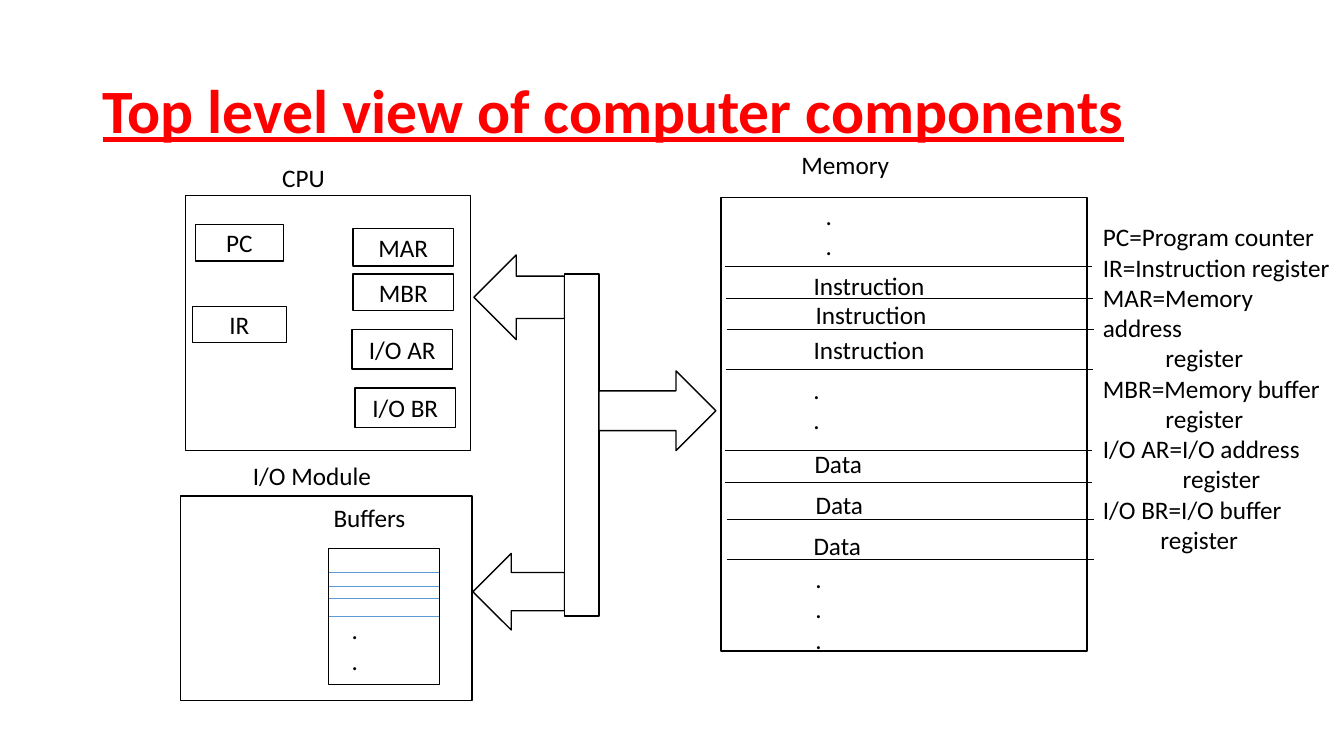
import pptx
import pptx.dml.color
import pptx.enum.shapes
import pptx.enum.text
import pptx.oxml.ns
import pptx.util
from lxml import etree

PX = 9144  # EMU per px, 100 px to the inch
COLORS = {"title": "FF0000", "ink": "000000", "paper": "FFFFFF", "buffer": "5B9BD5"}
SHAPES = pptx.enum.shapes.MSO_SHAPE
ALIGN = pptx.enum.text.PP_ALIGN
ANCHOR = pptx.enum.text.MSO_ANCHOR


def px(*lengths):
    return [pptx.util.Emu(length * PX) for length in lengths]


def rgb(name):
    return pptx.dml.color.RGBColor.from_string(COLORS[name])


def style_font(paragraph, size=18, color="ink"):
    paragraph.font.name = "Calibri"
    paragraph.font.size = pptx.util.Pt(size)
    paragraph.font.color.rgb = rgb(color)


def add_title(slide, text):
    frame = slide.shapes.add_textbox(*px(92, 40, 1150, 145)).text_frame
    frame.word_wrap = True
    frame.vertical_anchor = ANCHOR.MIDDLE
    paragraph = frame.paragraphs[0]
    paragraph.text = text
    paragraph.line_spacing = 0.9
    style_font(paragraph, 44, "title")
    paragraph.font.bold = True
    paragraph.font.underline = True


def add_block(slide, left, top, width, height, text="", kind=SHAPES.RECTANGLE, filled=True):
    shape = slide.shapes.add_shape(kind, *px(left, top, width, height))
    shape.shadow.inherit = False
    if filled:
        shape.fill.solid()
        shape.fill.fore_color.rgb = rgb("paper")
    else:
        shape.fill.background()
    shape.line.color.rgb = rgb("ink")
    shape.line.width = pptx.util.Pt(1)
    if text:
        shape.text_frame.vertical_anchor = ANCHOR.MIDDLE
        paragraph = shape.text_frame.paragraphs[0]
        paragraph.text = text
        paragraph.alignment = ALIGN.CENTER
        style_font(paragraph)


def add_text(slide, left, top, width, lines):
    """Add a text box; each line is a (text, indent) pair."""
    height = 10 + 30 * len(lines)
    frame = slide.shapes.add_textbox(*px(left, top, width, height)).text_frame
    frame.word_wrap = True
    for index, (text, indent) in enumerate(lines):
        paragraph = frame.paragraphs[0] if index == 0 else frame.add_paragraph()
        paragraph.text = text
        style_font(paragraph)
        if indent:
            paragraph._p.get_or_add_pPr().set("marL", str(indent * PX))


def add_rule(slide, left, top, width, color="ink"):
    rule = slide.shapes.add_connector(
        pptx.enum.shapes.MSO_CONNECTOR.STRAIGHT, *px(left, top, left + width, top))
    rule.line.color.rgb = rgb(color)
    rule.line.width = pptx.util.Pt(0.5)
    etree.SubElement(rule._element.spPr, pptx.oxml.ns.qn("a:effectLst"))


def add_cpu(slide):
    add_text(slide, 270, 156, 166, [("CPU", 0)])
    add_block(slide, 184, 194, 283, 253, filled=False)
    for text, left, top, width, height in [
            ("PC", 194, 223, 87, 36), ("IR", 191, 304, 93, 36),
            ("MAR", 350, 227, 100, 37), ("MBR", 350, 272, 100, 36),
            ("I/O AR", 349, 327, 100, 39), ("I/O BR", 352, 385, 100, 39)]:
        add_block(slide, left, top, width, height, text)


def add_memory(slide):
    add_text(slide, 785, 143, 207, [("Memory", 0)])
    add_block(slide, 715, 196, 363, 450)
    for left, top in [(719, 264), (720, 296), (721, 327), (720, 366),
                      (719, 447), (719, 479), (721, 515), (721, 555)]:
        add_rule(slide, left, top, 364)
    for text, left, top in [
            ("Instruction", 797, 263), ("Instruction", 799, 292), ("Instruction", 797, 327),
            ("Data", 798, 440), ("Data", 799, 481), ("Data", 797, 521)]:
        add_text(slide, left, top, 139, [(text, 0)])
    for left, top, count in [(809, 194, 2), (797, 366, 2), (799, 554, 3)]:
        add_text(slide, left, top, 80, [(".", 0)] * count)


def add_io_module(slide):
    add_text(slide, 241, 452, 211, [("I/O Module", 0)])
    add_block(slide, 179, 492, 289, 203)
    add_text(slide, 321, 493, 121, [("Buffers", 0)])
    add_block(slide, 326, 544, 110, 135)
    for top in (568, 582, 594, 611):
        add_rule(slide, 326, top, 109, "buffer")
    add_text(slide, 339, 605, 78, [(".", 0)] * 2)


def add_bus(slide):
    add_block(slide, 470, 253, 90, 84, kind=SHAPES.LEFT_ARROW)
    add_block(slide, 469, 549, 91, 76, kind=SHAPES.LEFT_ARROW)
    add_block(slide, 560, 272, 34, 339)
    add_block(slide, 594, 368, 116, 79, kind=SHAPES.RIGHT_ARROW)


def add_legend(slide):
    add_text(slide, 1084, 215, 249, [
        ("PC=Program counter", 0), ("IR=Instruction register", 0),
        ("MAR=Memory address", 0), ("register", 62),
        ("MBR=Memory buffer", 0), ("register", 62),
        ("I/O AR=I/O address", 0), ("register", 79),
        ("I/O BR=I/O buffer", 0), ("register", 57)])


def main():
    presentation = pptx.Presentation()
    presentation.slide_width, presentation.slide_height = px(1333, 750)
    slide = presentation.slides.add_slide(presentation.slide_layouts[6])
    add_title(slide, "Top level view of computer components")
    # Components
    add_cpu(slide)
    add_memory(slide)
    add_io_module(slide)
    # Connections and abbreviations
    add_bus(slide)
    add_legend(slide)
    presentation.save("out.pptx")


if __name__ == "__main__":
    main()
